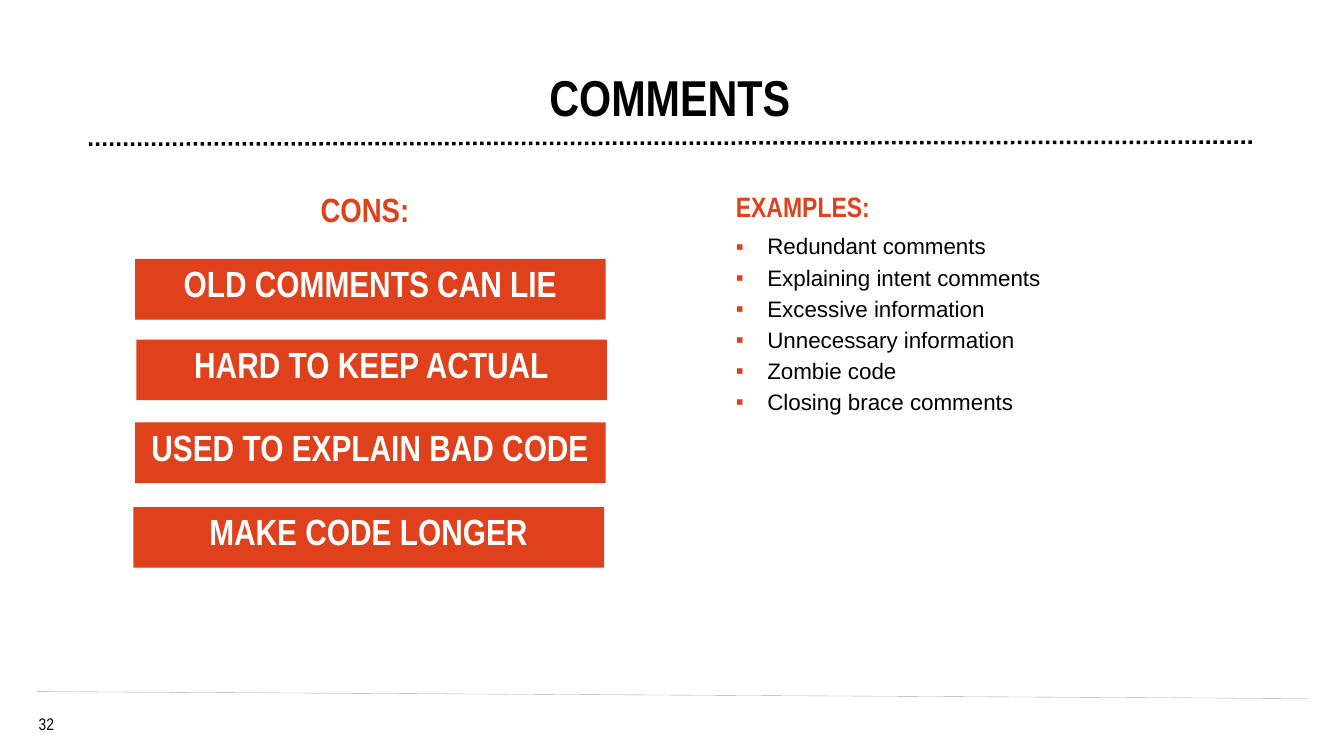
from lxml.etree import SubElement
from pptx import Presentation
from pptx.dml.color import RGBColor
from pptx.enum.dml import MSO_LINE
from pptx.enum.shapes import MSO_CONNECTOR, MSO_SHAPE
from pptx.enum.text import MSO_ANCHOR, PP_ALIGN
from pptx.oxml.ns import qn
from pptx.util import Pt

BLACK, WHITE, RED, FILL = "000000", "FFFFFF", "DF411C", "DE411B"
NARROW, SANS = "Arial Narrow", "Arial"
MID, LEFT = PP_ALIGN.CENTER, PP_ALIGN.LEFT
TOP, BASE = MSO_ANCHOR.TOP, MSO_ANCHOR.BOTTOM
PAD = (0, 3.6, 7.2, 3.6)  # left, top, right, bottom


def paint(color, code):
    color.rgb = RGBColor.from_string(code)


def apply(item, style):
    for name, value in style.items():
        setattr(item, name, value)


def bullet(par):
    props = par._p.get_or_add_pPr()
    props.set("marL", str(Pt(22.5)))
    props.set("indent", str(-Pt(22.5)))
    tint = SubElement(props, qn("a:buClr"))
    SubElement(tint, qn("a:srgbClr")).set("val", FILL)
    SubElement(props, qn("a:buFont")).set("typeface", SANS)
    SubElement(props, qn("a:buChar")).set("char", "▪")


def fill_text(shape, lines, size, code=BLACK, face=NARROW, bold=True,
              align=MID, anchor=BASE, pad=PAD, lead=0.9, gap=0, dots=False):
    frame = shape.text_frame
    sides = ("margin_left", "margin_top", "margin_right", "margin_bottom")
    apply(frame, dict(zip(sides, map(Pt, pad))))
    apply(frame, {"word_wrap": True, "vertical_anchor": anchor})
    for i, line in enumerate(lines):
        par = frame.add_paragraph() if i else frame.paragraphs[0]
        apply(par, {"alignment": align, "line_spacing": lead,
                    "space_before": Pt(gap if i else 0)})
        if dots:
            bullet(par)
        run = par.add_run()
        run.text = line
        apply(run.font, {"name": face, "size": Pt(size), "bold": bold})
        paint(run.font.color, code)


def add_text(slide, box, lines, size, **style):
    shape = slide.shapes.add_textbox(*map(Pt, box))
    fill_text(shape, lines, size, **style)


def add_rule(slide, ends, code, width, dash=None):
    rule = slide.shapes.add_connector(MSO_CONNECTOR.STRAIGHT, *map(Pt, ends))
    paint(rule.line.color, code)
    apply(rule.line, {"width": Pt(width), "dash_style": dash})
    SubElement(rule._element.spPr, qn("a:effectLst"))


def add_bar(slide, box, label):
    bar = slide.shapes.add_shape(MSO_SHAPE.RECTANGLE, *map(Pt, box))
    bar.shadow.inherit = False
    bar.fill.solid()
    paint(bar.fill.fore_color, FILL)
    bar.line.fill.background()
    fill_text(bar, [label], 26, code=WHITE, pad=(0, 0, 0, 10))


def add_head(slide, box):
    x, y, w, h = box
    add_text(slide, box, ["COMMENTS"], 36, lead=0.7)
    add_rule(slide, (x + w + 25.2, y + h + 8.6, x - 31.7, y + h + 10.1),
             BLACK, 2.5, MSO_LINE.ROUND_DOT)


def add_cons(slide, box):
    x, y, w, h = box
    add_text(slide, (x + 113, y, 109.4, 33.1), ["CONS:"], 24, code=RED)
    # Each bar has its own small shift across and its drop from the heading
    bars = [("OLD COMMENTS CAN LIE", 0, 50.4),
            ("HARD TO KEEP ACTUAL", 0.9, 108),
            ("USED TO EXPLAIN BAD CODE", 0, 167.2),
            ("MAKE CODE LONGER", -1.2, 227.6)]
    for label, shift, drop in bars:
        add_bar(slide, (x + shift, y + drop, w, 43.3), label)


def add_list(slide, box):
    x, y, w, h = box
    add_text(slide, (x, y, w, 28.8), ["EXAMPLES:"], 20, code=RED, align=LEFT)
    items = ["Redundant comments", "Explaining intent comments",
             "Excessive information", "Unnecessary information",
             "Zombie code", "Closing brace comments"]
    add_text(slide, (x, y + 30.2, w, h - 30.2), items, 16, face=SANS,
             bold=False, align=LEFT, anchor=TOP, gap=5, dots=True)


def add_foot(slide, box):
    x, y, w, h = box
    add_rule(slide, (x, y, x + w, y + 5), "A6AAA9", 0.25)
    add_text(slide, (x - 10.8, y + 15.8, 34.6, 14.4), ["32"], 12,
             bold=False, anchor=TOP, pad=(0, 0, 0, 0), lead=1)


def main():
    deck = Presentation()
    apply(deck, {"slide_width": Pt(960), "slide_height": Pt(540)})
    slide = deck.slides.add_slide(deck.slide_layouts[6])
    add_foot(slide, (26.6, 494, 908, 30.2))
    add_head(slide, (95, 12.2, 774, 80.7))
    add_cons(slide, (96.5, 134.6, 336.2, 271))
    add_list(slide, (525.6, 134.6, 394.6, 167.8))
    deck.save("out.pptx")


if __name__ == "__main__":
    main()
